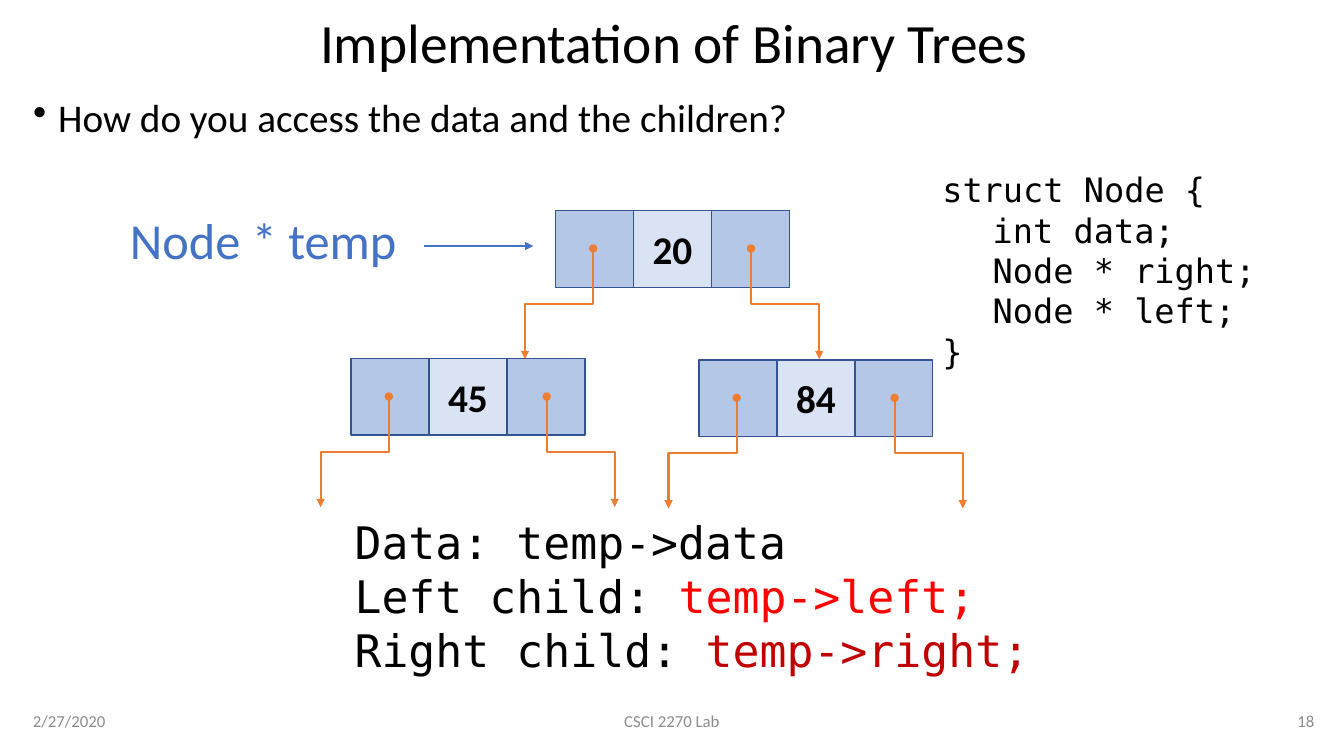
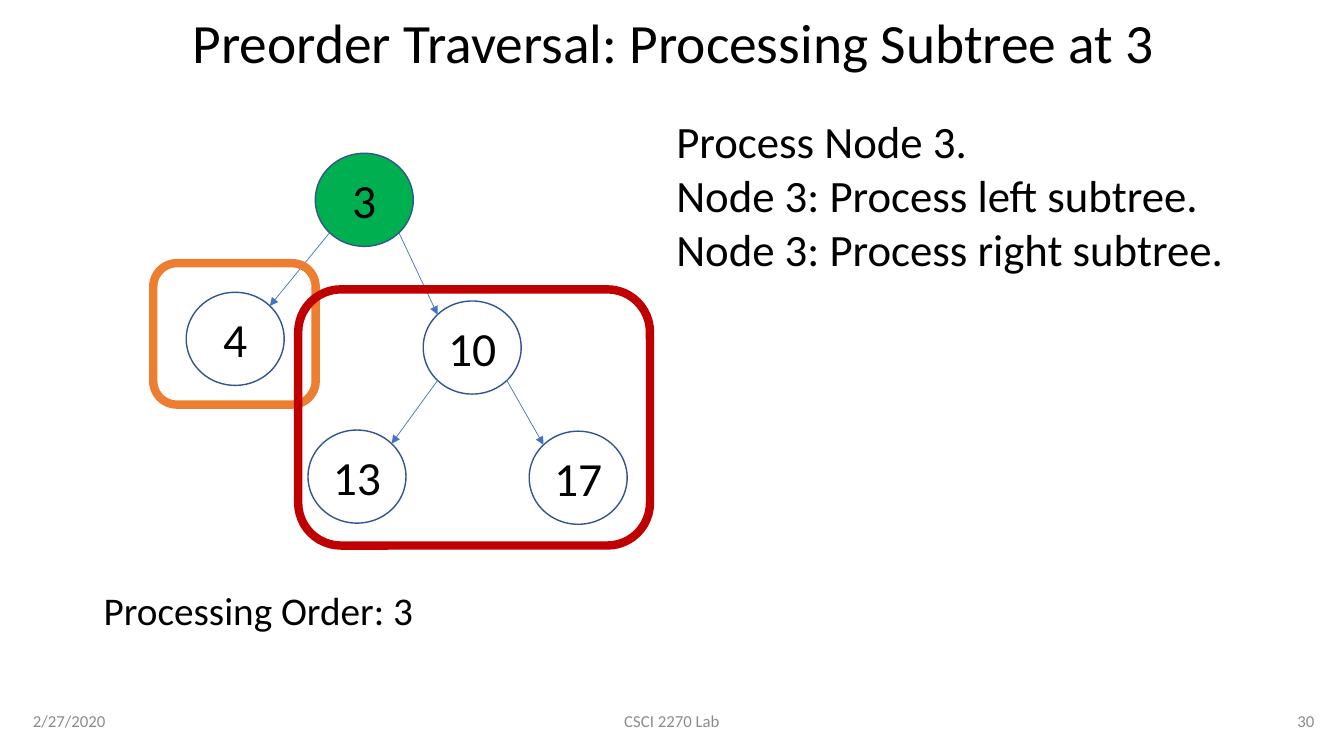
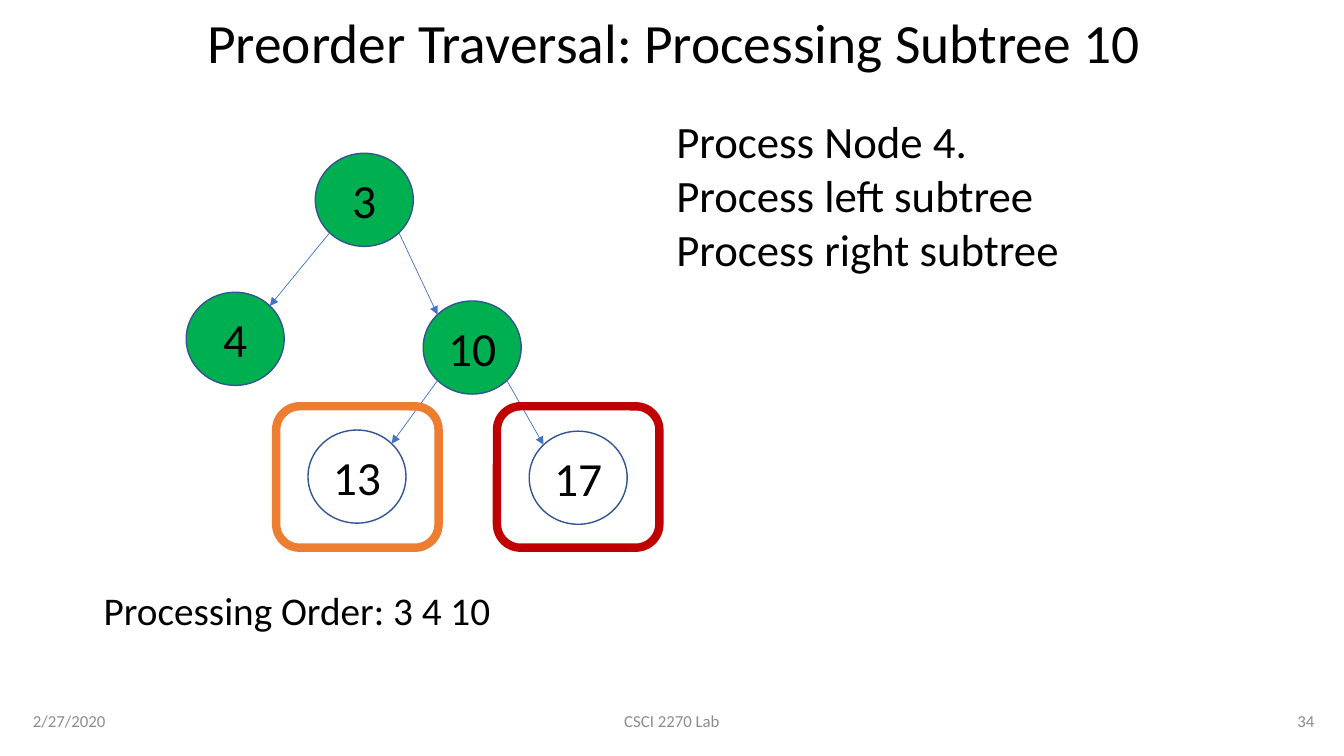
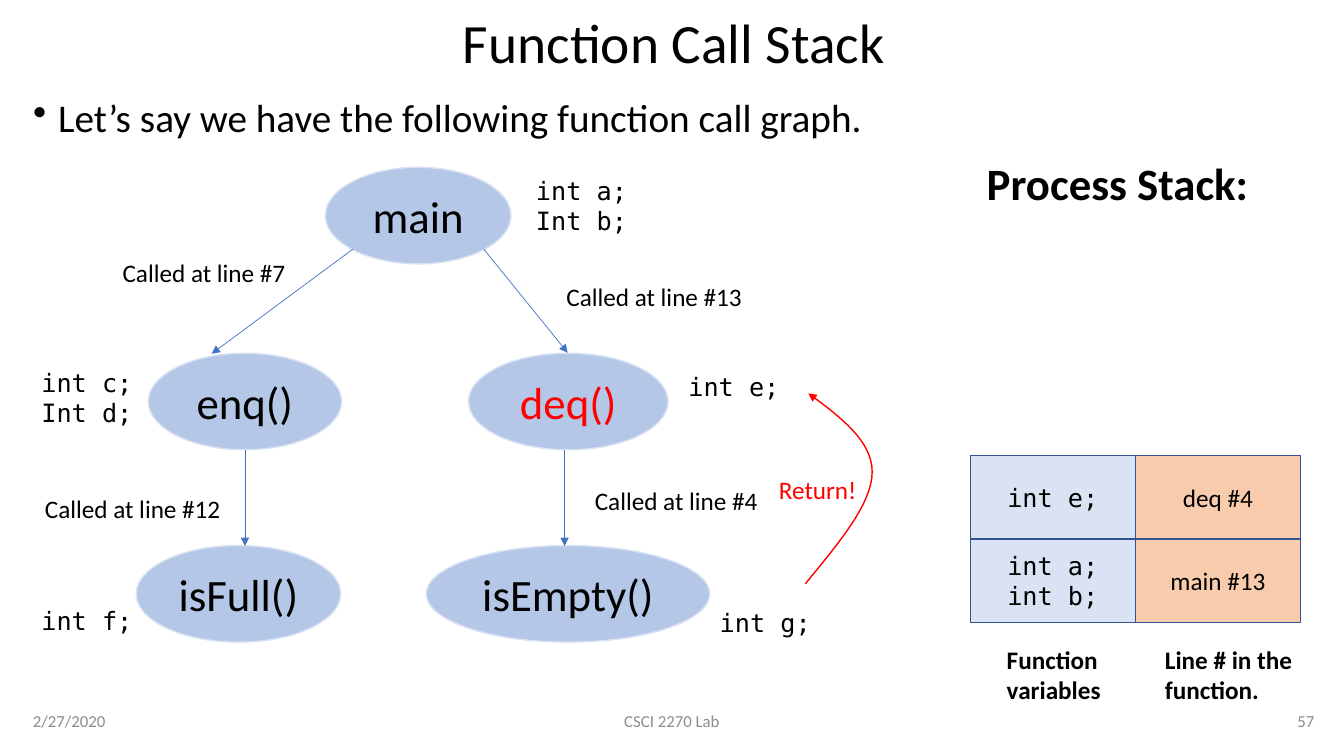
from lxml.etree import SubElement
from pptx import Presentation
from pptx.dml.color import RGBColor
from pptx.enum.shapes import MSO_CONNECTOR, MSO_SHAPE
from pptx.enum.text import MSO_ANCHOR, PP_ALIGN
from pptx.oxml.ns import qn
from pptx.util import Pt

SANS, MONO = "Calibri", "DejaVu Sans Mono"
BLACK, GREY, RED, DARK_RED = "000000", "8C8C8C", "FF0000", "C00000"
BLUE, NAVY, MID_BLUE, PALE_BLUE = "4472C4", "325491", "B4C7E7", "DAE3F3"
ORANGE, PEACH, GREEN = "ED7D31", "F8CBAD", "00B050"


def add_box(slide, at, text="", size=18, color=BLACK, font=SANS, bold=False,
            align=PP_ALIGN.LEFT, anchor=MSO_ANCHOR.TOP,
            outline=None, fill=None, line=NAVY, weight=1):
    """Add a text box, or a preset shape with centred text if outline is given."""
    place = [Pt(value) for value in at]
    if outline is None:
        box = slide.shapes.add_textbox(*place)
    else:
        box = slide.shapes.add_shape(outline, *place)
        box.shadow.inherit = False
        box.line.color.rgb = RGBColor.from_string(line)
        box.line.width = Pt(weight)
        if fill:
            box.fill.solid()
            box.fill.fore_color.rgb = RGBColor.from_string(fill)
        else:
            box.fill.background()
        align, anchor = PP_ALIGN.CENTER, MSO_ANCHOR.MIDDLE
    frame = box.text_frame
    frame.word_wrap = outline is None
    frame.vertical_anchor = anchor
    frame.text = text
    for paragraph in frame.paragraphs:
        paragraph.alignment = align
        for run in paragraph.runs:
            run.font.name, run.font.size, run.font.bold = font, Pt(size), bold
            run.font.color.rgb = RGBColor.from_string(color)
    return box


def add_arrow(slide, start, end, color=BLUE, weight=0.5, elbow=False):
    """Add a straight arrow, or an elbow that leaves and arrives vertically."""
    (x1, y1), (x2, y2) = start, end
    kind = MSO_CONNECTOR.STRAIGHT
    if elbow:
        # The elbow is laid out sideways around its centre, then turned upright.
        kind = MSO_CONNECTOR.ELBOW
        turn = 90 if x2 < x1 else 270
        middle_x, middle_y = (x1 + x2) / 2, (y1 + y2) / 2
        reach = (y2 - y1) / 2 * (1 if x2 < x1 else -1)
        rise = abs(x2 - x1) / 2
        x1, x2 = middle_x - reach, middle_x + reach
        y1, y2 = middle_y - rise, middle_y + rise
    arrow = slide.shapes.add_connector(kind, Pt(x1), Pt(y1), Pt(x2), Pt(y2))
    arrow.line.color.rgb = RGBColor.from_string(color)
    arrow.line.width = Pt(weight)
    properties = arrow._element.spPr
    stroke = properties.find(qn("a:ln"))
    if elbow:
        properties.xfrm.set("rot", str(turn * 60000))
        SubElement(stroke, qn("a:headEnd"), type="oval")
    SubElement(stroke, qn("a:tailEnd"), type="triangle")
    SubElement(properties, qn("a:effectLst"))


deck = Presentation()
deck.slide_width, deck.slide_height = Pt(960), Pt(540)

# Title, opening bullet and footer of every slide
slides = []
for title, number, bullet in [
    ("Implementation of Binary Trees", "18",
     "How do you access the data and the children?"),
    ("Preorder Traversal: Processing Subtree at 3", "30", None),
    ("Preorder Traversal: Processing Subtree 10", "34", None),
    ("Function Call Stack", "57",
     "Let’s say we have the following function call graph."),
]:
    slide = deck.slides.add_slide(deck.slide_layouts[6])
    slides.append(slide)
    heading = add_box(slide, (16.5, 11, 929.5, 43), title, 39.6,
                      align=PP_ALIGN.CENTER, anchor=MSO_ANCHOR.MIDDLE)
    heading.text_frame.paragraphs[0].line_spacing = 0.9
    if bullet:
        body = add_box(slide, (16.5, 67, 929.5, 420), bullet, 28)
        point = body.text_frame.paragraphs[0]
        point.line_spacing, point.space_before = 0.9, Pt(10)
        settings = point._p.get_or_add_pPr()
        settings.set("marL", str(Pt(18)))
        settings.set("indent", str(-Pt(18)))
        SubElement(settings, qn("a:buChar"), char="•")
    for left, width, footer, align in [
        (16.5, 216, "2/27/2020", PP_ALIGN.LEFT),
        (318, 324, "CSCI 2270 Lab", PP_ALIGN.CENTER),
        (730, 216, number, PP_ALIGN.RIGHT),
    ]:
        add_box(slide, (left, 500.5, width, 29), footer, 12, GREY,
                align=align, anchor=MSO_ANCHOR.MIDDLE)
implementation, subtree_3, subtree_10, call_stack = slides

# Binary tree of three-part nodes
CELL_WIDTH, CELL_HEIGHT = 55.7, 54.7
for left, top, value in [(396.7, 150.5, "20"), (250.7, 256.2, "45"),
                         (499.2, 257.2, "84")]:
    for column, (label, fill) in enumerate(
            [("", MID_BLUE), (value, PALE_BLUE), ("", MID_BLUE)]):
        add_box(implementation,
                (left + column * CELL_WIDTH, top, CELL_WIDTH, CELL_HEIGHT),
                label, 28, bold=True, outline=MSO_SHAPE.RECTANGLE, fill=fill)
    for offset, shift in [(27, -48.7), (139.8, 48.7)]:
        start = (left + offset, top + 27)
        add_arrow(implementation, start, (start[0] + shift, start[1] + 79),
                  ORANGE, 1.5, elbow=True)

add_box(implementation, (85.7, 145.5, 215, 51), "Node * temp", 36, BLUE)
add_arrow(implementation, (303, 175.7), (381, 175.7), weight=1.5)
add_box(implementation, (666, 117.4, 290, 152.6),
        "struct Node {\n\tint data;\n\tNode * right;\n\tNode * left;\n}",
        24, font=MONO)
access = add_box(implementation, (246.2, 364.3, 523.5, 130),
                 "Data: temp->data\nLeft child: \nRight child: ", 32, font=MONO)
for paragraph, pointer, color in zip(access.text_frame.paragraphs[1:],
                                     ["temp->left;", "temp->right;"],
                                     [RED, DARK_RED]):
    run = paragraph.add_run()
    run.text = pointer
    run.font.name, run.font.size = MONO, Pt(32)
    run.font.color.rgb = RGBColor.from_string(color)

# Preorder traversal of the same tree, at two moments
NODE_WIDTH, NODE_HEIGHT = 70, 66.5
DIAGONAL = 0.5 ** 0.5 / 2
node_places = {"3": (225.2, 109.5), "4": (133, 208.8), "10": (302.3, 215),
               "13": (220, 307.2), "17": (378, 308)}
branches = [("3", "4", -1), ("3", "10", 1), ("10", "13", -1), ("10", "17", 1)]
for slide, visited, steps, left_frame, right_frame in [
    (subtree_3, ["3"],
     "Process Node 3.\nNode 3: Process left subtree.\n"
     "Node 3: Process right subtree.",
     (109.5, 188, 116, 101), (213, 206.7, 251.3, 183)),
    (subtree_10, ["3", "4", "10"],
     "Process Node 4.\nProcess left subtree\nProcess right subtree",
     (197.3, 290.2, 116, 101), (355, 290.2, 116, 101)),
]:
    for value, place in node_places.items():
        add_box(slide, (*place, NODE_WIDTH, NODE_HEIGHT), value, 34,
                outline=MSO_SHAPE.OVAL,
                fill=GREEN if value in visited else None)
    for parent, child, side in branches:
        ends = []
        for value, across, down in [(parent, side, 1), (child, -side, -1)]:
            left, top = node_places[value]
            ends.append((left + NODE_WIDTH * (0.5 + across * DIAGONAL),
                         top + NODE_HEIGHT * (0.5 + down * DIAGONAL)))
        add_arrow(slide, *ends)
    add_box(slide, (476, 77.8, 433, 124), steps, 32)
    add_box(slide, (67, 415.5, 428, 41),
            "Processing Order: " + " ".join(visited), 28)
    for frame, color in [(left_frame, ORANGE), (right_frame, DARK_RED)]:
        add_box(slide, frame, outline=MSO_SHAPE.ROUNDED_RECTANGLE,
                line=color, weight=6)

# Function call graph
for name, left, top, width, color in [
    ("main", 232.5, 119.5, 132.5, BLACK),
    ("enq()", 106, 252.3, 138, BLACK),
    ("deq()", 334.7, 252.3, 142.5, RED),
    ("isFull()", 97.3, 389.7, 146, BLACK),
    ("isEmpty()", 304.5, 389.7, 202.5, BLACK),
]:
    add_box(call_stack, (left, top, width, 69), name, 32, color,
            outline=MSO_SHAPE.OVAL, fill=MID_BLUE, line=PALE_BLUE)
for start, end in [((252, 178), (151.2, 252.7)), ((345.6, 178), (405.5, 252)),
                   ((175, 321.3), (175, 390)), ((403.3, 321.5), (403.3, 390))]:
    add_arrow(call_stack, start, end)

for variables, left, top, height in [
    ("int a;\nInt b;", 375.8, 121.7, 51),
    ("int c;\nInt d;", 22.5, 258.8, 51),
    ("int e;", 484.6, 262, 29),
    ("int f;", 22.5, 428.5, 29),
    ("int g;", 507, 430, 29),
]:
    add_box(call_stack, (left, top, 83.5, height), variables, font=MONO)
for label, left, top, color in [
    ("Called at line #7", 80.5, 180, BLACK),
    ("Called at line #12", 25, 348.7, BLACK),
    ("Called at line #13", 397.5, 197.5, BLACK),
    ("Called at line #4", 417.8, 342.8, BLACK),
    ("Return!", 549.3, 335, RED),
]:
    add_box(call_stack, (left, top, 150, 29), label, color=color)

# Return arrow: two Bézier curves drawn as short steps
STEPS = 16
curve = []
for corners in [((575.3, 417), (599, 388), (623, 360), (623, 337)),
                ((623, 337), (623, 315), (600, 297.5), (577.4, 281))]:
    for step in range(STEPS + 1):
        t = step / STEPS
        weights = ((1 - t) ** 3, 3 * t * (1 - t) ** 2, 3 * t * t * (1 - t), t ** 3)
        curve.append(tuple(
            Pt(sum(w * corner[axis] for w, corner in zip(weights, corners)))
            for axis in (0, 1)))
builder = call_stack.shapes.build_freeform(*curve[0])
builder.add_line_segments(curve[1:], close=False)
return_arrow = builder.convert_to_shape()
return_arrow.shadow.inherit = False
return_arrow.fill.background()
return_arrow.line.color.rgb = RGBColor.from_string(RED)
return_arrow.line.width = Pt(1)
SubElement(return_arrow._element.spPr.find(qn("a:ln")), qn("a:tailEnd"),
           type="triangle")

# Process stack, newest call on top
add_box(call_stack, (697.7, 108, 250, 46), "Process Stack:", 32, bold=True)
FRAME_WIDTH, FRAME_HEIGHT = 118, 59.5
for row, (variables, caller) in enumerate(
        [("int e;", "deq #4"), ("int a;\nint b;", "main #13")]):
    for column, (text, font, fill) in enumerate(
            [(variables, MONO, PALE_BLUE), (caller, SANS, PEACH)]):
        add_box(call_stack,
                (693 + column * FRAME_WIDTH, 325.5 + row * FRAME_HEIGHT,
                 FRAME_WIDTH, FRAME_HEIGHT),
                text, font=font, outline=MSO_SHAPE.RECTANGLE, fill=fill)
for caption, left, width in [("Function variables", 712, 85),
                             ("Line # in the function.", 825, 114.5)]:
    add_box(call_stack, (left, 456.5, width, 51), caption, bold=True)

deck.save("out.pptx")
